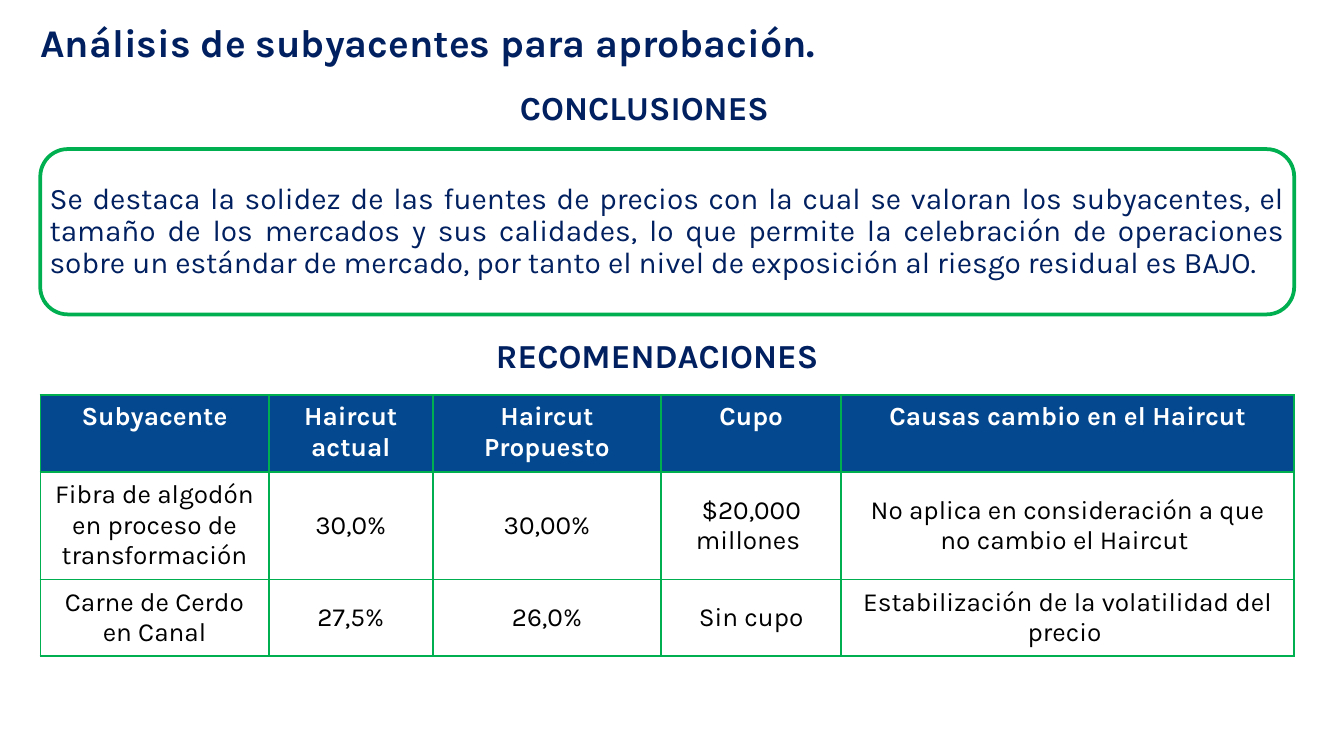
from dataclasses import dataclass

from lxml import etree
from pptx import Presentation
from pptx.dml.color import RGBColor
from pptx.enum.shapes import MSO_SHAPE
from pptx.enum.text import MSO_ANCHOR, PP_ALIGN
from pptx.oxml.ns import qn
from pptx.util import Inches, Pt


@dataclass(frozen=True)
class Theme:
    font: str = "Karla"
    navy: str = "002060"
    blue: str = "044990"
    green: str = "00B050"
    white: str = "FFFFFF"
    black: str = "000000"
    title: int = 21
    heading: int = 18
    body: int = 16
    cell: int = 14


T = Theme()

SLIDE_WIDTH = 10
SLIDE_HEIGHT = SLIDE_WIDTH * 9 / 16
LEFT, WIDTH = 0.3, 9.33
COL_WIDTHS = [1.7, 1.22, 1.7, 1.34, 3.37]
ROW_HEIGHTS = [0.57, 0.8, 0.57]
ROWS = [
    ["Subyacente", "Haircut actual", "Haircut Propuesto", "Cupo",
     "Causas cambio en el Haircut"],
    ["Fibra de algodón en proceso de transformación", "30,0%", "30,00%",
     "$20,000 millones ",
     "No aplica en consideración a que no cambio el Haircut "],
    ["Carne de Cerdo en Canal", "27,5%", "26,0%", "Sin cupo",
     "Estabilización de la volatilidad del precio "],
]
CONCLUSION = (
    "Se destaca la solidez de las fuentes de precios con la cual se valoran "
    "los subyacentes, el tamaño de los mercados y sus calidades, lo que "
    "permite la celebración de operaciones sobre un estándar de mercado, por "
    "tanto el nivel de exposición al riesgo residual es BAJO."
)


def write(tf, text, size, color=T.navy, bold=False, align=PP_ALIGN.CENTER,
          anchor=MSO_ANCHOR.TOP, spacing=None, inset=None):
    tf.word_wrap = True
    tf.vertical_anchor = anchor
    if inset is not None:
        tf.margin_left = tf.margin_right = Inches(inset)
        tf.margin_top = tf.margin_bottom = Inches(inset)
    p = tf.paragraphs[0]
    p.alignment = align
    if spacing:
        p.line_spacing = spacing
    r = p.add_run()
    r.text = text
    r.font.name = T.font
    r.font.size = Pt(size)
    r.font.bold = bold
    r.font.color.rgb = RGBColor.from_string(color)


def add_title(s, x, y, w, h, text):
    sp = s.shapes.title
    sp.left, sp.top, sp.width, sp.height = map(Inches, (x, y, w, h))
    write(sp.text_frame, text, T.title, bold=True, align=PP_ALIGN.LEFT,
          spacing=1.2, inset=0)


def add_heading(s, x, y, w, h, text):
    sp = s.shapes.add_textbox(*map(Inches, (x, y, w, h)))
    write(sp.text_frame, text, T.heading, bold=True, spacing=1.2)


def add_conclusion(s, x, y, w, h, text):
    sp = s.shapes.add_shape(MSO_SHAPE.ROUNDED_RECTANGLE,
                            *map(Inches, (x, y, w, h)))
    sp.shadow.inherit = False
    sp.fill.background()
    sp.line.color.rgb = RGBColor.from_string(T.green)
    sp.line.width = Pt(2)
    write(sp.text_frame, text, T.body, align=PP_ALIGN.JUSTIFY,
          anchor=MSO_ANCHOR.MIDDLE, spacing=0.9, inset=0.01)


def add_borders(cell, color, width):
    tc_pr = cell._tc.get_or_add_tcPr()
    for side in ("lnL", "lnR", "lnT", "lnB"):
        ln = etree.SubElement(tc_pr, qn(f"a:{side}"), w=str(Pt(width)))
        fill = etree.SubElement(ln, qn("a:solidFill"))
        etree.SubElement(fill, qn("a:srgbClr"), val=color)


def add_recommendations(s, x, y, w, h, rows):
    frame = s.shapes.add_table(len(rows), len(COL_WIDTHS),
                               *map(Inches, (x, y, w, h)))
    table = frame.table
    table.first_row = table.horz_banding = False
    for col, width in zip(table.columns, COL_WIDTHS):
        col.width = Inches(width)
    for row, height in zip(table.rows, ROW_HEIGHTS):
        row.height = Inches(height)

    for i, values in enumerate(rows):
        header = i == 0
        for j, value in enumerate(values):
            cell = table.cell(i, j)
            add_borders(cell, T.green, 1)
            if header:
                cell.fill.solid()
                cell.fill.fore_color.rgb = RGBColor.from_string(T.blue)
            else:
                cell.fill.background()
            write(cell.text_frame, value, T.cell, bold=header,
                  color=T.white if header else T.black)
            cell.vertical_anchor = MSO_ANCHOR.TOP if header else MSO_ANCHOR.MIDDLE


def main():
    prs = Presentation()
    prs.slide_width, prs.slide_height = Inches(SLIDE_WIDTH), Inches(SLIDE_HEIGHT)
    s = prs.slides.add_slide(prs.slide_layouts[5])

    add_title(s, LEFT, 0.07, 6.85, 0.43,
              "Análisis de subyacentes para aprobación.")
    # Conclusions
    add_heading(s, 3.01, 0.54, 3.57, 0.3, "CONCLUSIONES")
    add_conclusion(s, LEFT, 1.11, WIDTH, 1.23, CONCLUSION)
    # Recommendations
    add_heading(s, 3.44, 2.38, 2.9, 0.26, "RECOMENDACIONES")
    add_recommendations(s, LEFT, 2.94, WIDTH, sum(ROW_HEIGHTS), ROWS)

    prs.save("out.pptx")


if __name__ == "__main__":
    main()
